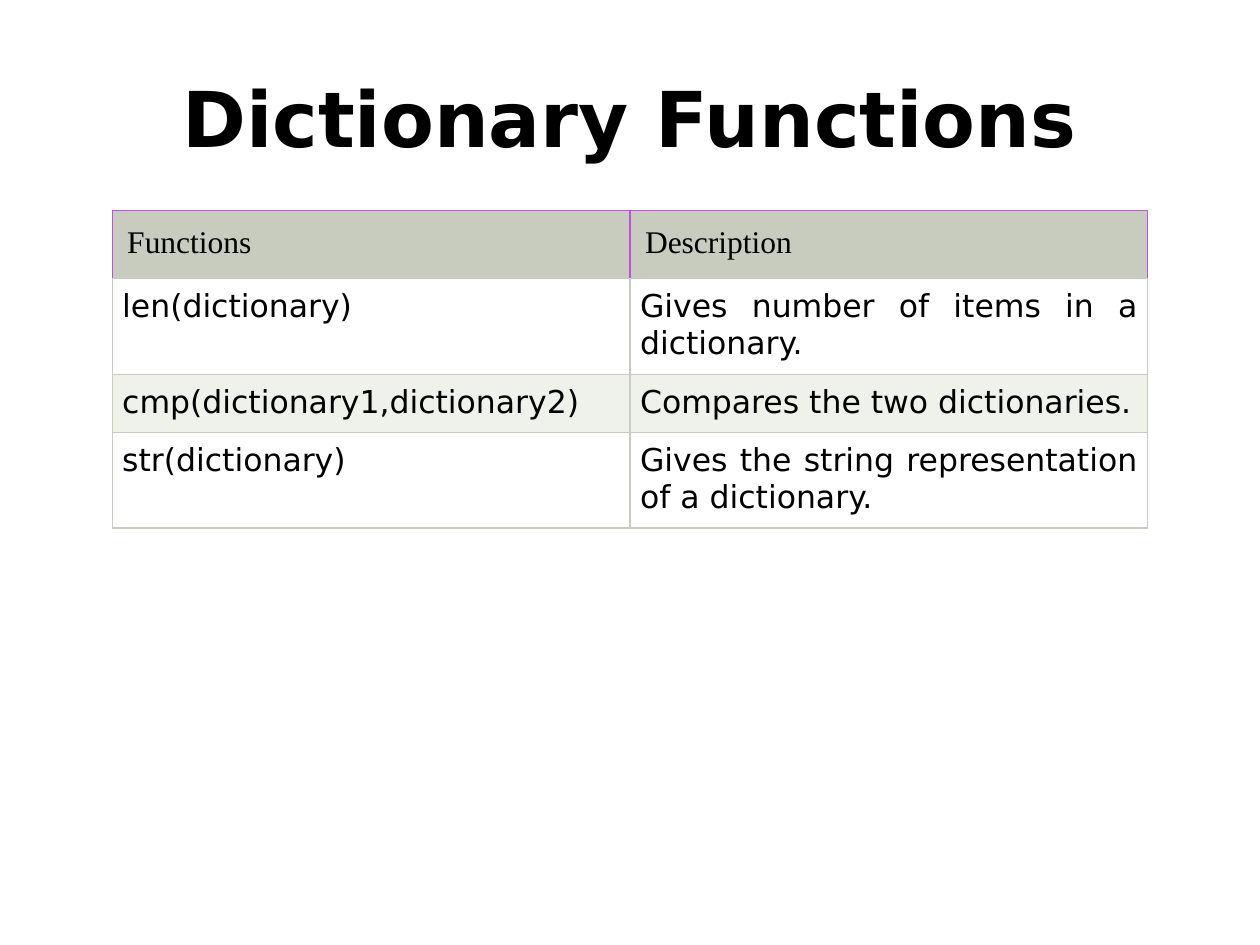
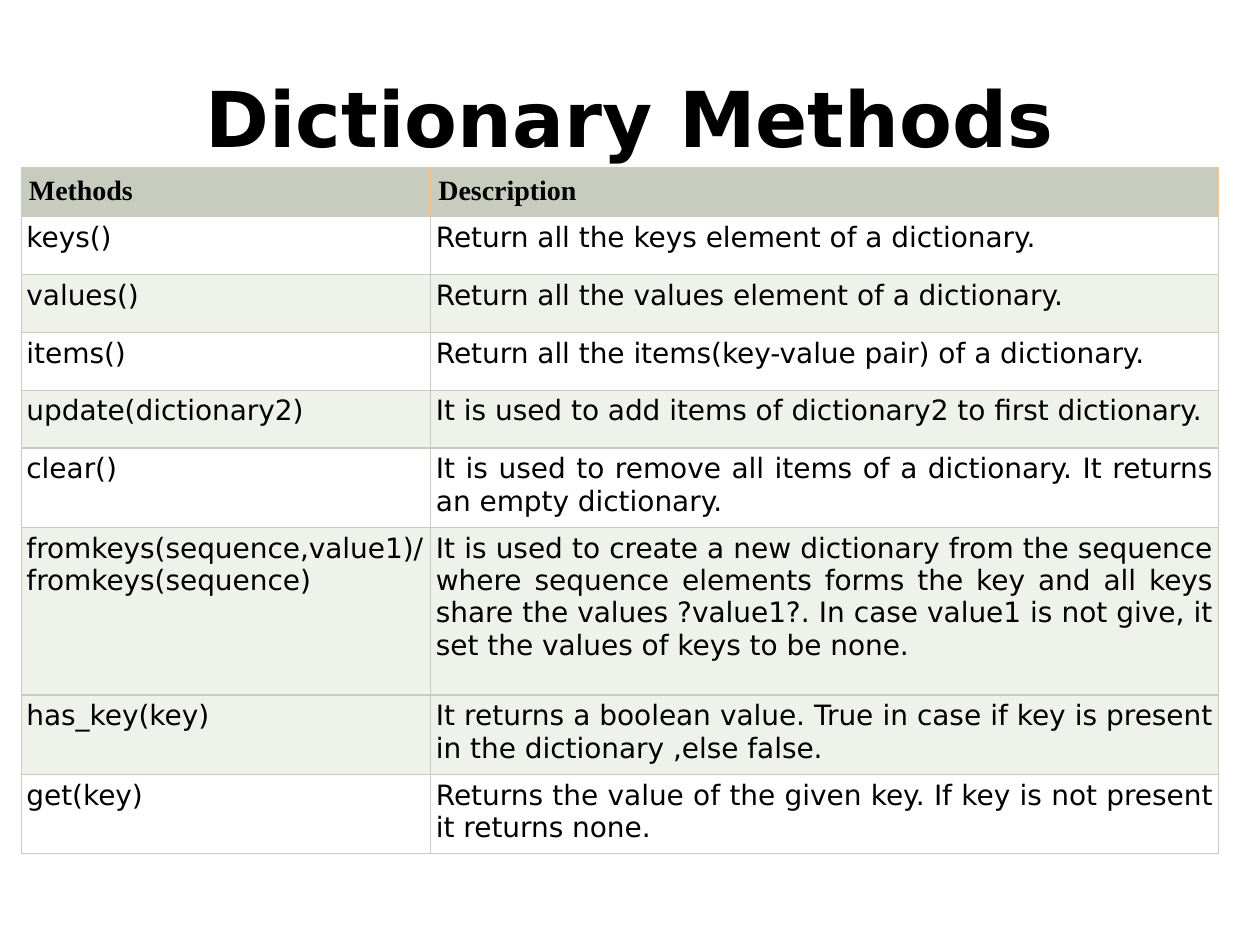
from dataclasses import dataclass

from lxml import etree
from pptx import Presentation
from pptx.dml.color import RGBColor
from pptx.enum import text
from pptx.oxml.ns import qn
from pptx.util import Inches, Pt


@dataclass(frozen=True)
class Theme:
    ink: str = "000000"
    sage: str = "C7CCBE"
    stripe: str = "EFF1EB"
    paper: str = "FFFFFF"
    violet: str = "C051DC"
    amber: str = "F0C48F"
    body_font: str = "DejaVu Sans"
    header_font: str = "Times New Roman"
    title_size: int = 44
    border: float = 0.75


@dataclass(frozen=True)
class TableLook:
    size: int
    header_edge: str
    header_bold: bool
    header_inset: float
    inset: float
    shaded_rows: tuple


THEME = Theme()
TITLE_BOX = (0.5, 0.3, 9, 1.25)

FUNCTIONS_LOOK = TableLook(18, THEME.violet, False, 0.12, 0.08, (2,))
FUNCTIONS = [
    ("Functions", "Description"),
    ("len(dictionary)", "Gives number of items in a dictionary."),
    ("cmp(dictionary1,dictionary2)", "Compares the two dictionaries."),
    ("str(dictionary)", "Gives the string representation of a dictionary."),
]

METHODS_LOOK = TableLook(16, THEME.amber, True, 0.06, 0.04, (2, 4, 6, 7))
METHODS = [
    ("Methods", "Description"),
    ("keys()", "Return all the keys element of a dictionary."),
    ("values()", "Return all the values element of a dictionary."),
    ("items()", "Return all the items(key-value pair) of a dictionary."),
    ("update(dictionary2)",
     "It is used to add items of dictionary2 to first dictionary."),
    ("clear()",
     "It is used to remove all items of a dictionary. "
     "It returns an empty dictionary."),
    ("fromkeys(sequence,value1)/ fromkeys(sequence)",
     "It is used to create a new dictionary from the sequence where sequence "
     "elements forms the key and all keys share the values ?value1?. "
     "In case value1 is not give, it set the values of keys to be none."),
    ("has_key(key)",
     "It returns a boolean value. True in case if key is present "
     "in the dictionary ,else false."),
    ("get(key)",
     "Returns the value of the given key. "
     "If key is not present it returns none."),
]


def set_font(p, name, size, bold):
    f = p.font
    f.name, f.size, f.bold = name, Pt(size), bold
    f.color.rgb = RGBColor.from_string(THEME.ink)


def add_title(s, title, box):
    tf = s.shapes.add_textbox(*map(Inches, box)).text_frame
    tf.word_wrap = True
    tf.vertical_anchor = text.MSO_ANCHOR.MIDDLE
    p = tf.paragraphs[0]
    p.text = title
    p.alignment = text.PP_ALIGN.CENTER
    set_font(p, THEME.body_font, THEME.title_size, True)


def set_borders(cell, edge, bottom):
    """Draw the left, right and top edges in one colour, the bottom in another."""
    tc_pr = cell._tc.get_or_add_tcPr()
    sides = (("L", edge), ("R", edge), ("T", edge), ("B", bottom))
    for i, (side, color) in enumerate(sides):
        ln = etree.Element(qn(f"a:ln{side}"), w=str(Pt(THEME.border)))
        fill = etree.SubElement(ln, qn("a:solidFill"))
        etree.SubElement(fill, qn("a:srgbClr"), val=color)
        tc_pr.insert(i, ln)


def fill_cell(cell, content, look, row):
    header = row == 0
    inset = Inches(look.header_inset if header else look.inset)
    cell.margin_left = cell.margin_right = inset
    cell.margin_top = cell.margin_bottom = inset
    p = cell.text_frame.paragraphs[0]
    p.text = content
    if header:
        color, edge = THEME.sage, look.header_edge
        p.alignment = text.PP_ALIGN.LEFT
        set_font(p, THEME.header_font, look.size, look.header_bold)
    else:
        color = THEME.stripe if row in look.shaded_rows else THEME.paper
        edge = THEME.sage
        p.alignment = text.PP_ALIGN.JUSTIFY
        set_font(p, THEME.body_font, look.size, False)
    cell.fill.solid()
    cell.fill.fore_color.rgb = RGBColor.from_string(color)
    # The edge under the header belongs to the body grid.
    set_borders(cell, THEME.sage if row == 1 else edge, THEME.sage)


def add_reference_table(s, rows, look, origin, widths, heights):
    left, top = origin
    box = map(Inches, (left, top, sum(widths), sum(heights)))
    table = s.shapes.add_table(len(rows), len(widths), *box).table
    table.first_row = table.horz_banding = False
    for column, width in zip(table.columns, widths):
        column.width = Inches(width)
    for i, (contents, height) in enumerate(zip(rows, heights)):
        table.rows[i].height = Inches(height)
        for j, content in enumerate(contents):
            fill_cell(table.cell(i, j), content, look, i)


def add_reference_slide(prs, title, *table_args):
    s = prs.slides.add_slide(prs.slide_layouts[6])
    add_title(s, title, TITLE_BOX)
    add_reference_table(s, *table_args)


def main():
    prs = Presentation()
    prs.slide_width, prs.slide_height = Inches(10), Inches(7.5)
    add_reference_slide(
        prs, "Dictionary Functions", FUNCTIONS, FUNCTIONS_LOOK,
        (0.89, 1.67), [4.11] * 2, [0.53, 0.75, 0.45, 0.75])
    add_reference_slide(
        prs, "Dictionary Methods", METHODS, METHODS_LOOK,
        (0.17, 1.33), [3.25, 6.25],
        [0.37] + [0.46] * 4 + [0.63, 1.33, 0.63, 0.63])
    prs.save("out.pptx")


if __name__ == "__main__":
    main()
